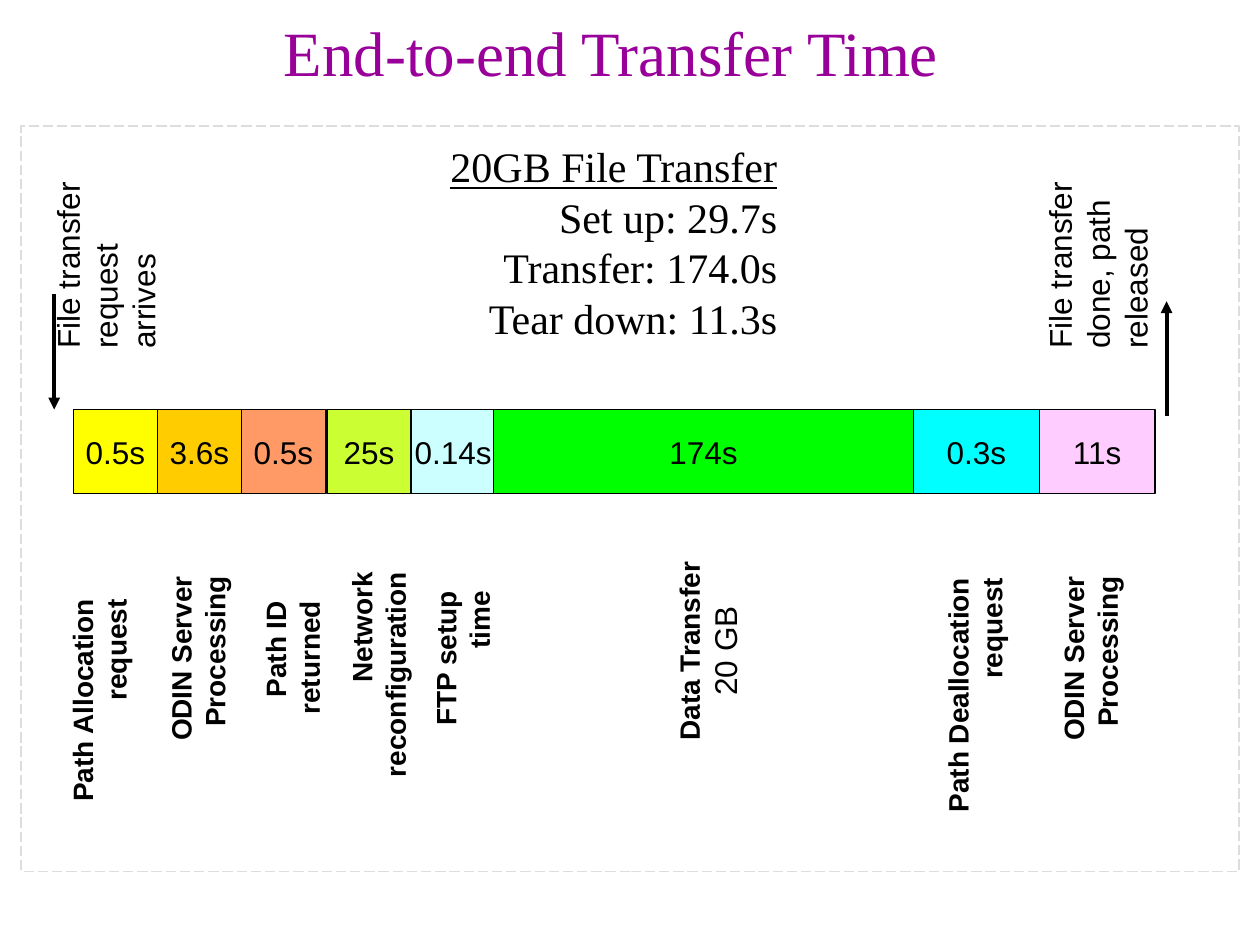
from lxml import etree
from pptx import Presentation
from pptx import util as u
from pptx.dml.color import RGBColor
from pptx.enum import dml, shapes, text
from pptx.oxml import ns

ALIGN = text.PP_ALIGN
TITLE = "End-to-end Transfer Time"
SUMMARY = ["20GB File Transfer", "Set up: 29.7s", "Transfer: 174.0s", "Tear down: 11.3s"]

# Lengths below are in twelfths of an inch.
STAGES = [
    ("0.5s", 8, 0, "FFFF00"),
    ("3.6s", 8, 0, "FFCC00"),
    ("0.5s", 8, 0, "FF9966"),
    ("25s", 8, 0.15, "CCFF33"),
    ("0.14s", 8, 0.15, "CCFFFF"),
    ("174s", 40, 0, "00FF00"),
    ("0.3s", 12, 0, "00FFFF"),
    ("11s", 11, 0, "FFCCFF"),
]
LABELS = [
    (["Path Allocation request"], 5.6, 28, 19.8),
    (["ODIN Server Processing"], 15, 20, 16.2),
    (["Path ID returned"], 24, 20, 11.5),
    (["Network reconfiguration"], 32.2, 23, 20),
    (["FTP setup time"], 40.2, 20, 13.4),
    (["Path Deallocation", "request"], 89, 27, 22.9),
    (["ODIN Server Processing"], 100, 20, 16.2),
]
CALLOUTS = [
    ("File transfer request arrives", 4),
    ("File transfer done, path released", 98.5),
]
ARROWS = [(5.16, 28, 39), (111.1, 39.6, 28.7)]
BAR_LEFT, BAR_TOP, BAR_HEIGHT = 7, 39, 8
LABEL_TOP, LABEL_WIDTH = 53, 8.76

LABEL_FONT = {"name": "Arial", "size": u.Pt(16), "bold": True}
PLAIN_FONT = {"name": "Arial", "size": u.Pt(18), "bold": False}
TITLE_FONT = {"name": "Times New Roman", "size": u.Pt(36), "bold": False}
SUMMARY_FONT = {"name": "Times New Roman", "size": u.Pt(24)}


def grid(*values):
    return [u.Cm(value * 2.54 / 12) for value in values]


def paint(target, color):
    if hasattr(target, "solid"):
        target.solid()
        target = target.fore_color
    else:
        target = target.color
    target.rgb = RGBColor.from_string(color)


def apply(target, values):
    for name, value in values.items():
        setattr(target, name, value)


def write(shape, lines, font, align, color="000000"):
    frame = shape.text_frame
    for index, line in enumerate(lines):
        paragraph = frame.paragraphs[0] if index == 0 else frame.add_paragraph()
        paragraph.text = line
        paragraph.alignment = align
        apply(paragraph.font, font)
        paint(paragraph.font, color)
    return frame


def add_box(slide, place, fill=None, line="000000"):
    shape = slide.shapes.add_shape(shapes.MSO_SHAPE.RECTANGLE, *grid(*place))
    shape.shadow.inherit = False
    if fill:
        paint(shape.fill, fill)
    else:
        shape.fill.background()
    paint(shape.line, line)
    shape.line.width = u.Pt(0.75)
    return shape


def add_vertical_text(slide, lines, place, length, font, align):
    shape = slide.shapes.add_textbox(*grid(*place))
    frame = write(shape, lines, font, align)
    side, end = grid(0.6, (place[3] - length) / 2)
    apply(frame, {"word_wrap": True, "margin_left": side, "margin_right": side,
                  "margin_top": end, "margin_bottom": end})
    frame._txBody.bodyPr.set("vert", "vert270")
    return frame


def add_arrow(slide, x, start, end):
    arrow = slide.shapes.add_connector(
        shapes.MSO_CONNECTOR.STRAIGHT, *grid(x, start, x, end))
    paint(arrow.line, "000000")
    arrow.line.width = u.Pt(2.25)
    etree.SubElement(arrow.line._get_or_add_ln(), ns.qn("a:tailEnd"), type="triangle")
    etree.SubElement(arrow._element.spPr, ns.qn("a:effectLst"))


def add_title(slide):
    title = slide.shapes.title
    apply(title, dict(zip(("left", "top", "width", "height"), grid(5.5, 0, 109.6, 9.8))))
    frame = write(title, [TITLE], TITLE_FONT, ALIGN.CENTER, "990099")
    apply(frame, {"vertical_anchor": text.MSO_ANCHOR.MIDDLE, "margin_right": u.Cm(1.14),
                  "auto_size": text.MSO_AUTO_SIZE.NONE})


def add_stages(slide):
    left = BAR_LEFT
    for duration, width, nudge, color in STAGES:
        shape = add_box(slide, (left + nudge, BAR_TOP, width, BAR_HEIGHT), color)
        frame = write(shape, [duration], PLAIN_FONT, ALIGN.CENTER)
        apply(frame, {"word_wrap": False, "vertical_anchor": text.MSO_ANCHOR.MIDDLE})
        left += width


def add_summary(slide):
    shape = slide.shapes.add_textbox(*grid(41.5, 12.84, 33.7, 20.4))
    frame = write(shape, SUMMARY, SUMMARY_FONT, ALIGN.RIGHT)
    frame.word_wrap = False
    for paragraph in frame.paragraphs:
        paragraph.line_spacing = u.Pt(28.8)
    frame.paragraphs[0].font.underline = True


def main():
    presentation = Presentation()
    apply(presentation, {"slide_width": u.Cm(25.4), "slide_height": u.Cm(19.05)})
    slide = presentation.slides.add_slide(presentation.slide_layouts[5])
    frame = add_box(slide, (2, 12, 116, 71), line="DDDDDD")
    frame.line.dash_style = dml.MSO_LINE.LONG_DASH
    add_title(slide)
    add_stages(slide)
    for arrow in ARROWS:
        add_arrow(slide, *arrow)
    for lines, left, height, length in LABELS:
        add_vertical_text(slide, lines, (left, LABEL_TOP, LABEL_WIDTH, height),
                          length, LABEL_FONT, ALIGN.RIGHT)
    transfer = add_vertical_text(slide, ["Data Transfer", "20 GB"], (63.4, 52, 9.1, 20),
                                 17.8, LABEL_FONT, ALIGN.CENTER)
    apply(transfer.paragraphs[1].font, PLAIN_FONT)
    for line, left in CALLOUTS:
        add_vertical_text(slide, [line], (left, 15, 13.2, 20), 16.4, PLAIN_FONT, ALIGN.LEFT)
    add_summary(slide)
    presentation.save("out.pptx")


if __name__ == "__main__":
    main()
